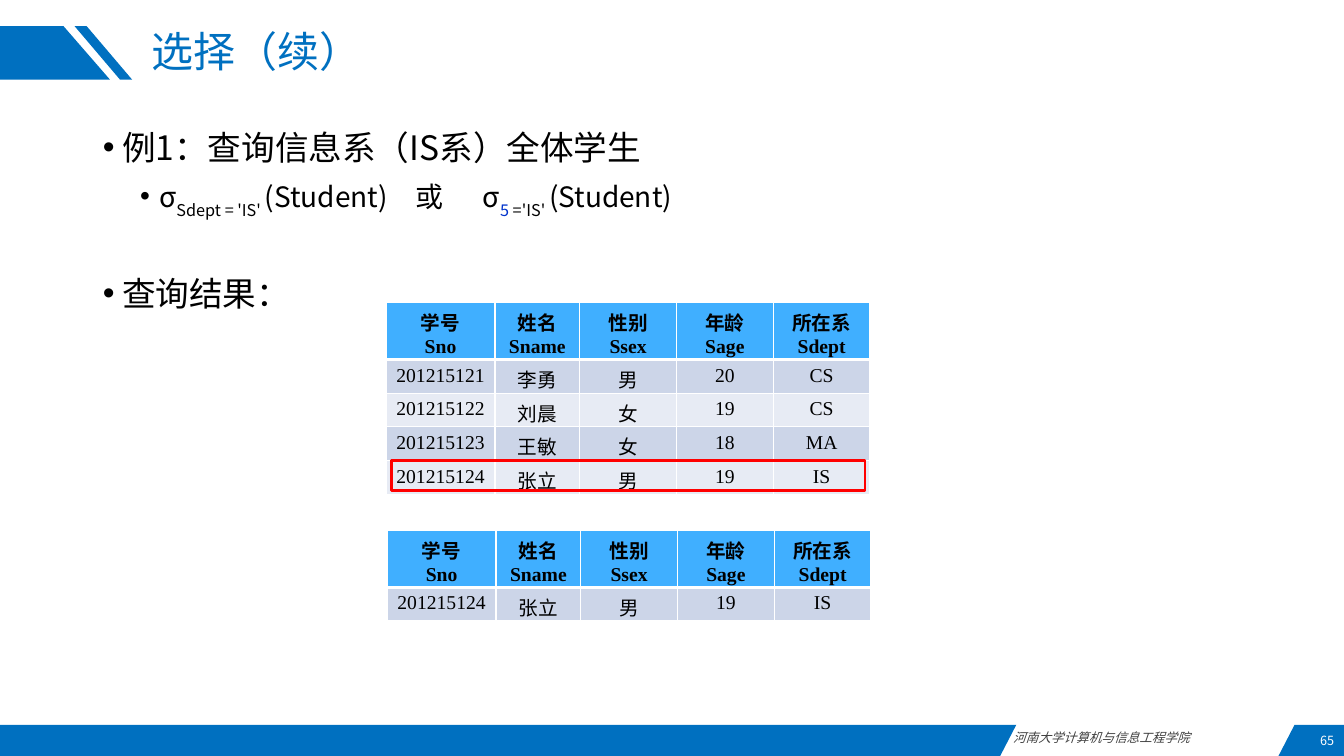
from lxml.etree import SubElement as Sub
from pptx import Presentation
from pptx.dml.color import RGBColor
from pptx.enum.shapes import MSO_SHAPE as Shape
from pptx.enum.text import MSO_ANCHOR as Anchor, PP_ALIGN as Align
from pptx.oxml.ns import qn
from pptx.util import Inches, Pt

BLUE = RGBColor(0x00, 0x70, 0xC0)
SKY = RGBColor(0x40, 0xAF, 0xFF)
PALE = RGBColor(0xCC, 0xD5, 0xE8)
LIGHT = RGBColor(0xE7, 0xEB, 0xF4)
INK = RGBColor(0x00, 0x33, 0xCC)
GREY = RGBColor(0x40, 0x40, 0x40)
RED = RGBColor(0xFF, 0x00, 0x00)
BLACK = RGBColor(0x00, 0x00, 0x00)
WHITE = RGBColor(0xFF, 0xFF, 0xFF)
SANS = "Noto Sans CJK SC"
SERIF = "Times New Roman"

HEAD = ["学号\nSno", "姓名\nSname", "性别\nSsex", "年龄\nSage", "所在系\nSdept"]
PICK = ["201215124", "张立", "男", "19", "IS"]
ROWS = [
    ["201215121", "李勇", "男", "20", "CS"],
    ["201215122", "刘晨", "女", "19", "CS"],
    ["201215123", "王敏", "女", "18", "MA"],
    PICK,
]
COLS = [1.08, 0.84, 0.96, 0.96, 0.96]


def put(par, text, size, face=SANS, color=BLACK, bold=False, slant=False, base=0):
    run = par.add_run()
    run.text = text
    font = run.font
    font.size, font.bold, font.italic = Pt(size), bold, slant
    font.color.rgb = color
    font.name = face
    props = run._r.get_or_add_rPr()
    Sub(props, qn("a:ea")).set("typeface", SANS)
    if base:
        props.set("baseline", str(base * 1000))


def shift(item, box):
    item.left, item.top, item.width, item.height = map(Inches, box)


def label(slide, box, text, align, anchor=Anchor.TOP, **look):
    frame = slide.shapes.add_textbox(*map(Inches, box)).text_frame
    frame.word_wrap = True
    frame.vertical_anchor = anchor
    par = frame.paragraphs[0]
    par.alignment = align
    put(par, text, 9, **look)


def patch(slide, x, y, dots):
    spots = [(Inches(x + dx), Inches(y + dy)) for dx, dy in dots]
    pen = slide.shapes.build_freeform(*spots[0])
    pen.add_line_segments(spots[1:], close=True)
    item = pen.convert_to_shape()
    item.shadow.inherit = False
    item.fill.solid()
    item.fill.fore_color.rgb = BLUE
    item.line.fill.background()


def header(slide, x, y, tall=0.53):
    patch(slide, x, y, [(0, 0), (0.63, 0), (1.09, tall), (0, tall)])
    patch(slide, x + 0.74, y, [(0, 0), (0.12, 0), (0.57, tall), (0.45, tall)])
    title = slide.shapes.title
    shift(title, (x + 1.4, y, 10.45, 0.56))
    title.text_frame.vertical_anchor = Anchor.MIDDLE
    par = title.text_frame.paragraphs[0]
    par.alignment, par.line_spacing = Align.LEFT, 0.9
    put(par, "选择（续）", 30, color=BLUE)


def footer(slide, x, y, tall=0.31):
    patch(slide, x, y, [(0, 0), (10.08, 0), (9.92, tall), (0, tall)])
    patch(slide, x + 12.68, y, [(0.16, 0), (0.65, 0), (0.65, tall), (0, tall)])
    label(slide, (x + 9.95, y, 2.73, 0.25), "河南大学计算机与信息工程学院",
          Align.JUSTIFY, color=GREY, slant=True)
    label(slide, (x + 11.94, y + 0.01, 1.39, 0.3), "65",
          Align.RIGHT, Anchor.MIDDLE, color=WHITE)


def point(par, level, left, before, tabs=()):
    props = par._p.get_or_add_pPr()
    props.set("marL", str(Inches(left)))
    props.set("indent", str(Inches(-0.19)))
    Sub(props, qn("a:buFont")).set("typeface", "Arial")
    Sub(props, qn("a:buChar")).set("char", "•")
    if tabs:
        stops = Sub(props, qn("a:tabLst"))
        for pos in tabs:
            stop = Sub(stops, qn("a:tab"))
            stop.set("pos", str(Inches(pos)))
            stop.set("algn", "l")
    par.level, par.line_spacing = level, 0.9
    par.space_before, par.space_after = Pt(before), Pt(4.5)


def body(slide, box):
    hold = slide.placeholders[1]
    shift(hold, box)
    frame = hold.text_frame
    ask = frame.paragraphs[0]
    point(ask, 0, 0.19, 0)
    put(ask, "例1：查询信息系（IS系）全体学生", 24)
    rule = frame.add_paragraph()
    point(rule, 1, 0.56, 4.5, (3.1, 3.77))
    put(rule, "σ", 20)
    put(rule, "Sdept = 'IS' ", 20, base=-30)
    put(rule, "(Student)\t或\tσ", 20)
    put(rule, "5", 20, color=INK, base=-30)
    put(rule, " ='IS' ", 20, base=-30)
    put(rule, "(Student)", 20)
    found = frame.add_paragraph()
    point(found, 0, 0.19, 39.5)
    put(found, "查询结果：", 24)


def edge(cell, head):
    props = cell._tc.get_or_add_tcPr()
    for side in "LRTB":
        line = Sub(props, qn("a:ln" + side))
        line.set("w", str(Pt(3 if head and side == "B" else 1)))
        Sub(Sub(line, qn("a:solidFill")), qn("a:srgbClr")).set("val", str(WHITE))


def grid(slide, box, rows):
    data = [HEAD] + rows
    item = slide.shapes.add_table(len(data), len(COLS), *map(Inches, box))
    table = item.table
    for col, wide in zip(table.columns, COLS):
        col.width = Inches(wide)
    for i, line in enumerate(data):
        table.rows[i].height = Inches(0.22 if i else 0.38)
        for j, text in enumerate(line):
            cell = table.cell(i, j)
            edge(cell, i == 0)
            cell.fill.solid()
            cell.fill.fore_color.rgb = (PALE if i % 2 else LIGHT) if i else SKY
            frame = cell.text_frame
            for k, part in enumerate(text.split("\n")):
                par = frame.add_paragraph() if k else frame.paragraphs[0]
                par.alignment = Align.CENTER
                put(par, part, 14, face=SERIF, bold=i == 0)
    item.height = Inches(box[3])


def mark(slide, box):
    item = slide.shapes.add_shape(Shape.RECTANGLE, *map(Inches, box))
    item.shadow.inherit = False
    item.fill.background()
    item.line.color.rgb = RED
    item.line.width = Pt(2)


def main():
    deck = Presentation()
    deck.slide_width, deck.slide_height = Inches(13.33), Inches(7.5)
    slide = deck.slides.add_slide(deck.slide_layouts[1])
    header(slide, 0, 0.26)
    footer(slide, 0, 7.19)
    body(slide, (0.92, 1.25, 11.5, 5.72))
    grid(slide, (3.83, 3, 4.79, 1.9), ROWS)
    mark(slide, (3.88, 4.57, 4.7, 0.3))
    grid(slide, (3.84, 5.26, 4.79, 0.9), [PICK])
    deck.save("out.pptx")


if __name__ == "__main__":
    main()
